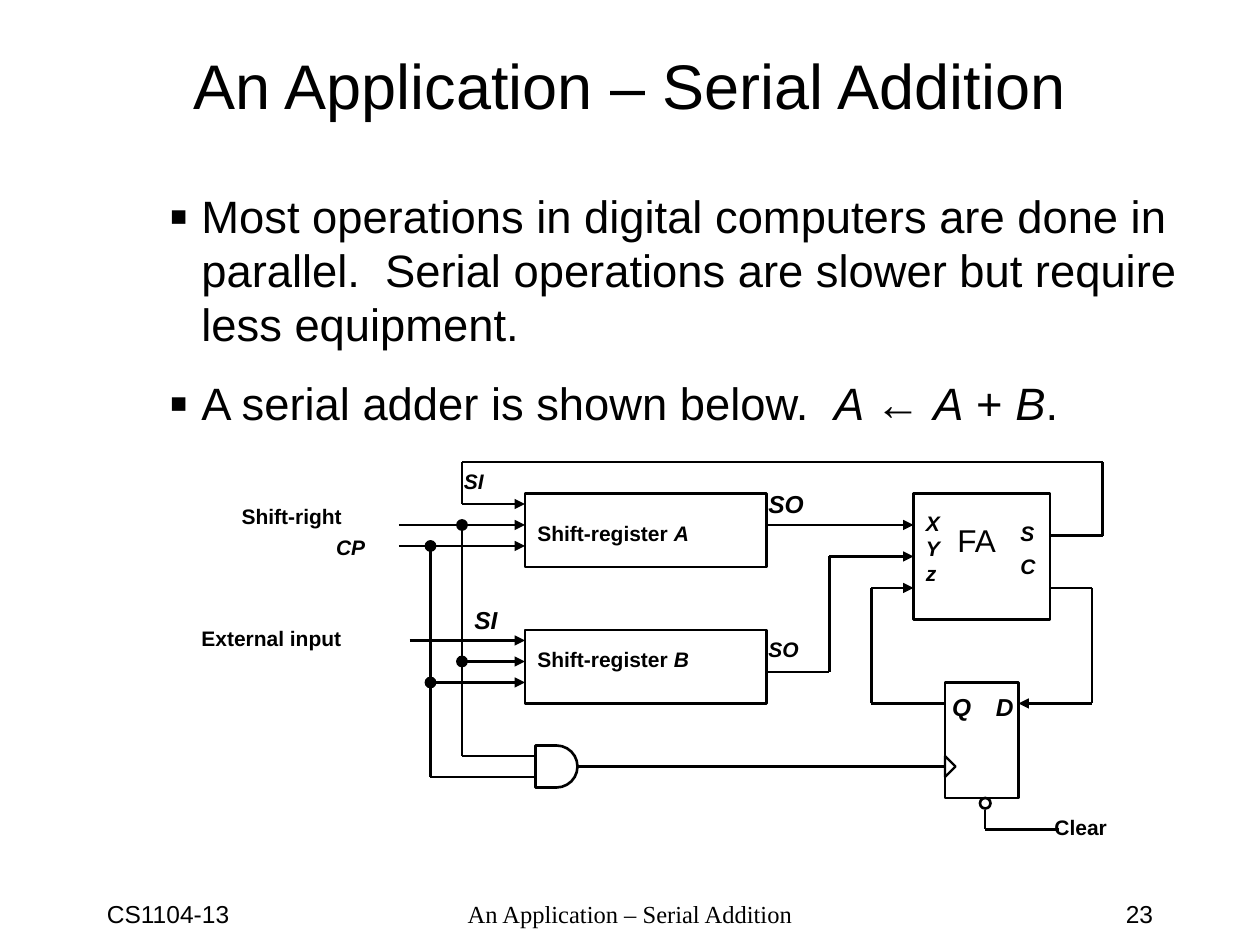
from dataclasses import dataclass, field
from typing import Optional

import pptx
import pptx.dml.color
import pptx.enum.shapes
import pptx.enum.text
import pptx.oxml
import pptx.oxml.ns
import pptx.util
from lxml import etree

Pt = pptx.util.Pt
SHAPES = pptx.enum.shapes.MSO_SHAPE
ALIGN = pptx.enum.text.PP_ALIGN
ANCHOR = pptx.enum.text.MSO_ANCHOR
COLORS = {"ink": "000000", "paper": "FFFFFF"}
BOLD = {"bold": True}
ITALIC = {"italic": True}
SIGNAL = {"bold": True, "italic": True}


def color(name: str) -> pptx.dml.color.RGBColor:
    return pptx.dml.color.RGBColor.from_string(COLORS[name])


@dataclass
class Label:
    box: tuple
    paragraphs: list  # each paragraph is a list of (text, format values)
    size: float = 12
    font: str = "Arial"
    align: Optional[ALIGN] = None
    anchor: ANCHOR = ANCHOR.TOP
    wrap: bool = True
    space_between: float = 0
    top_inset: float = 3.6
    line_height: Optional[float] = None
    bullet: str = ""


@dataclass
class Part:
    name: str
    kind: SHAPES
    box: tuple
    line_width: float = 1.5
    filled: bool = False
    rotation: float = 0


@dataclass
class Wire:
    points: list
    arrow: bool = False
    start: Optional[tuple] = None  # (part name, connection site)
    end: Optional[tuple] = field(default=None)


def add_bullet(paragraph, character: str) -> None:
    properties = paragraph._p.get_or_add_pPr()
    properties.set("marL", str(Pt(18)))
    properties.set("indent", str(Pt(-18)))
    make = functools_free_child(properties)
    etree.SubElement(make("a:buClr"), pptx.oxml.ns.qn("a:srgbClr"), val=COLORS["ink"])
    make("a:buSzPct", val="120000")
    make("a:buFont", typeface="Arial")
    make("a:buChar", char=character)


def functools_free_child(parent):
    return lambda tag, **values: etree.SubElement(parent, pptx.oxml.ns.qn(tag), **values)


def draw_label(slide, label: Label) -> None:
    frame = slide.shapes.add_textbox(*map(Pt, label.box)).text_frame
    frame_format = {
        "word_wrap": label.wrap, "vertical_anchor": label.anchor,
        "margin_left": Pt(7.2), "margin_right": Pt(7.2),
        "margin_top": Pt(label.top_inset), "margin_bottom": Pt(3.6),
    }
    for name, value in frame_format.items():
        setattr(frame, name, value)
    for index, runs in enumerate(label.paragraphs):
        paragraph = frame.add_paragraph() if index else frame.paragraphs[0]
        if label.line_height:
            paragraph.line_spacing = Pt(label.line_height)
        if index and label.space_between:
            paragraph.space_before = Pt(label.space_between)
        if label.bullet:
            add_bullet(paragraph, label.bullet)
        paragraph.alignment = label.align
        for text, values in runs:
            run = paragraph.add_run()
            run.text = text
            run.font.color.rgb = color("ink")
            for name, value in {"size": Pt(label.size), "name": label.font, **values}.items():
                setattr(run.font, name, value)


def draw_part(slide, part: Part):
    shape = slide.shapes.add_shape(part.kind, *map(Pt, part.box))
    shape.shadow.inherit = False
    shape.rotation = part.rotation
    if part.filled:
        shape.fill.solid()
        shape.fill.fore_color.rgb = color("ink")
    else:
        shape.fill.background()
    shape.line.color.rgb = color("ink")
    shape.line.width = Pt(part.line_width)
    return shape


def draw_wire(slide, wire: Wire, shapes: dict) -> None:
    segments = list(zip(wire.points, wire.points[1:]))
    for index, (begin, end) in enumerate(segments):
        connector = slide.shapes.add_connector(
            pptx.enum.shapes.MSO_CONNECTOR.STRAIGHT, *map(Pt, begin + end))
        connector.line.color.rgb = color("ink")
        connector.line.width = Pt(1.25)
        properties = connector._element.spPr
        last = index == len(segments) - 1
        if wire.arrow and last:
            functools_free_child(connector.line._get_or_add_ln())("a:tailEnd", type="triangle")
        functools_free_child(properties)("a:effectLst")
        if wire.start and index == 0:
            connector.begin_connect(shapes[wire.start[0]], wire.start[1])
        if wire.end and last:
            connector.end_connect(shapes[wire.end[0]], wire.end[1])


TEXTS = [
    # Footer, title and body
    Label((54, 510, 150, 18), [[("CS1104-13", {})]], 14),
    Label((246, 510, 228, 18), [[("An Application – Serial Addition", {})]], 14,
          "Times New Roman", ALIGN.CENTER),
    Label((516, 510, 150, 18), [[("23", {})]], 14, align=ALIGN.RIGHT),
    Label((54, 24, 612, 48), [[("An Application – Serial Addition", {})]], 36,
          align=ALIGN.CENTER, anchor=ANCHOR.MIDDLE),
    Label((90, 102, 612, 144), [
        [("Most operations in digital computers are done in parallel.  "
          "Serial operations are slower but require less equipment.", {})],
        [("A serial adder is shown below.  ", {}), ("A ", ITALIC), ("← ", {}),
         ("A", ITALIC), (" + ", {}), ("B", ITALIC), (".", {})],
    ], 25.9, space_between=14, top_inset=5.6, line_height=31, bullet="▪"),
    # Full adder
    Label((540, 294, 42, 29), [[("FA", {})]], 18),
    Label((522, 288, 24, 50), [[(name, SIGNAL)] for name in "XYz"]),
    Label((576, 294, 24, 41), [[(name, SIGNAL)] for name in "SC"], space_between=4.5),
    # Registers
    *[Label((300, top, 138, 22), [[("Shift-register ", BOLD), (name, SIGNAL)]])
      for name, top in (("A", 294), ("B", 366))],
    # Inputs and signals
    Label((131, 284, 102, 22), [[("Shift-right", BOLD)]]),
    Label((185, 302, 42, 22), [[("CP", SIGNAL)]]),
    Label((108, 354, 126, 22), [[("External input", BOLD)]]),
    Label((595.5, 462, 66, 22), [[("Clear", BOLD)]]),
    Label((258, 264, 36, 22), [[("SI", SIGNAL)]]),
    Label((264, 342, 36, 24), [[("SI", SIGNAL)]], 14),
    Label((432, 276, 42, 24), [[("SO", SIGNAL)]], 14),
    Label((432, 360, 42, 22), [[("SO", SIGNAL)]]),
    Label((537, 392, 25, 24), [[("Q", SIGNAL)]], 14, wrap=False),
    Label((562, 392, 24, 24), [[("D", SIGNAL)]], 14),
]

PARTS = [
    Part("adder", SHAPES.RECTANGLE, (522, 282, 78, 72)),
    Part("register A", SHAPES.RECTANGLE, (300, 282, 138, 42)),
    Part("register B", SHAPES.RECTANGLE, (300, 360, 138, 42)),
    Part("flip-flop", SHAPES.RECTANGLE, (540, 390, 42, 66)),
    Part("gate", SHAPES.FLOWCHART_DELAY, (306, 426, 24, 24)),
    Part("clock mark", SHAPES.ISOSCELES_TRIANGLE, (537, 435, 12, 6), 1.25, rotation=90),
    Part("clear bubble", SHAPES.OVAL, (560, 456, 6, 6)),
    *[Part(f"junction {x} {y}", SHAPES.OVAL, (x - 3, y - 3, 6, 6), 0.75, True)
      for x, y in ((264, 300), (246, 312), (264, 378), (246, 390))],
]

WIRES = [
    # Sum fed back into register A
    Wire([(600, 306), (630, 306), (630, 264), (264, 264), (264, 288), (300, 288)], True),
    # Register inputs
    *[Wire([(x, y), (300, y)], True)
      for x, y in ((228, 300), (228, 312), (234, 366), (264, 378), (246, 390))],
    # Shift and clock into the gate, then to the flip-flop
    Wire([(264, 300), (264, 432), (306, 432)]),
    Wire([(246, 312), (246, 444), (306, 444)]),
    Wire([(330, 438), (540, 438)], start=("gate", 3)),
    # Register outputs into the adder
    Wire([(438, 300), (522, 300)], True),
    Wire([(438, 384), (474, 384), (474, 318), (522, 318)], True, end=("adder", 1)),
    # Carry loop and clear
    Wire([(600, 336), (624, 336), (624, 402), (582, 402)], True),
    Wire([(540, 402), (498, 402), (498, 336), (522, 336)], True),
    Wire([(563, 463), (563, 474), (605, 474)]),
]


def main() -> None:
    presentation = pptx.Presentation()
    presentation.slide_width, presentation.slide_height = Pt(720), Pt(540)
    slide = presentation.slides.add_slide(presentation.slide_layouts[6])
    slide.background.fill.solid()
    slide.background.fill.fore_color.rgb = color("paper")
    shapes = {part.name: draw_part(slide, part) for part in PARTS}
    for wire in WIRES:
        draw_wire(slide, wire, shapes)
    for label in TEXTS:
        draw_label(slide, label)
    presentation.save("out.pptx")


if __name__ == "__main__":
    main()
